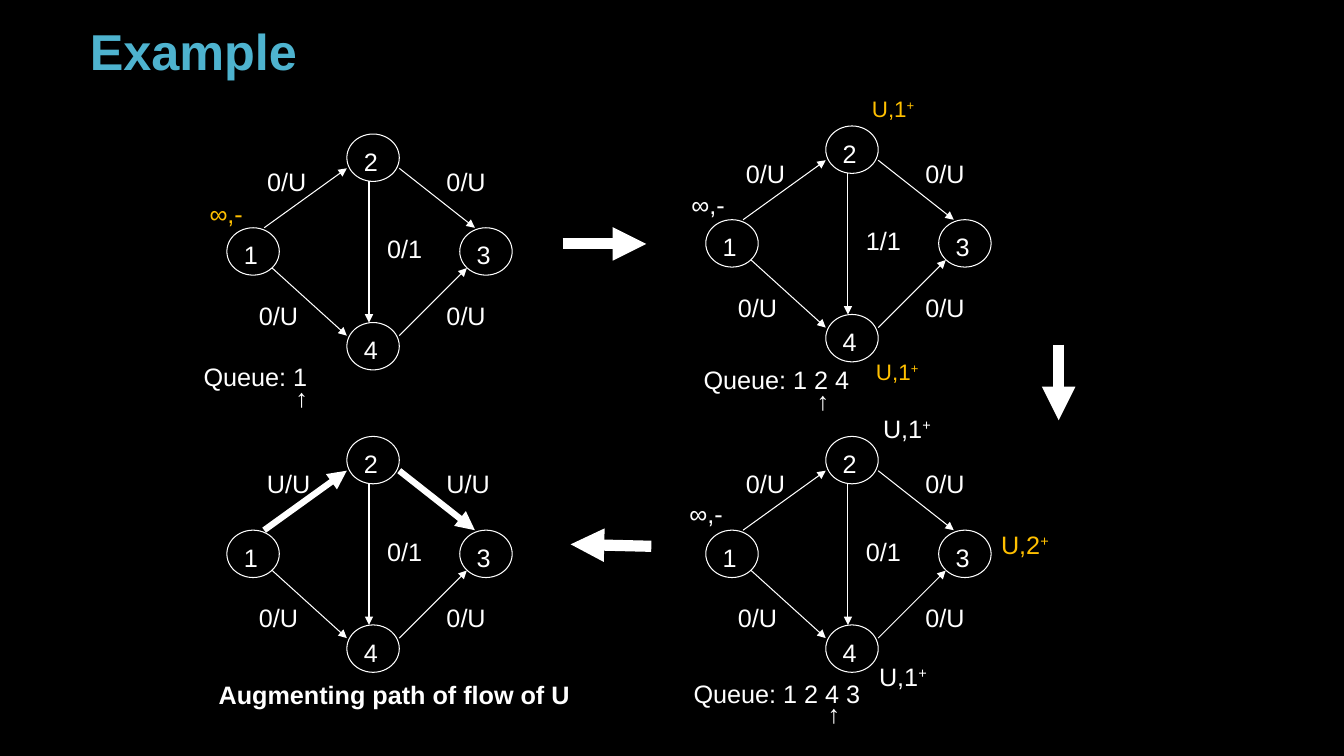
from lxml import etree
from pptx import Presentation
from pptx.dml.color import RGBColor
from pptx.enum.shapes import MSO_CONNECTOR, MSO_SHAPE
from pptx.enum.text import MSO_ANCHOR, MSO_AUTO_SIZE, PP_ALIGN
from pptx.oxml.ns import qn
from pptx.util import Inches, Pt

STRAIGHT = MSO_CONNECTOR.STRAIGHT
ELLIPSE = MSO_SHAPE.OVAL
BOTTOM = MSO_ANCHOR.BOTTOM
TOP = MSO_ANCHOR.TOP
LEFT = PP_ALIGN.LEFT
NO_AUTOFIT = MSO_AUTO_SIZE.NONE
GROW = MSO_AUTO_SIZE.SHAPE_TO_FIT_TEXT

COLUMNS, ROWS = 13.33, 7.5
COLUMN = ROW = Inches(1)
BLACK, WHITE, GOLD, TEAL = "000000", "FFFFFF", "FFC000", "4EB3CF"
THIN, PATH, STEP = 0.75, 4.5, 8
NODE_WIDTH, NODE_HEIGHT, NODE_INSET = 0.52, 0.47, 0.07
TEXT_HEIGHT = 0.4
SPACE_WIDTH = 0.07

NODES = {"4": (1.19, 1.87), "2": (1.19, 0), "1": (0, 0.93), "3": (2.31, 0.93)}
EDGES = {
    "1-4": ((0.45, 1.33), (1.19, 2), (0.22, 1.6)),
    "4-3": ((1.71, 2), (2.38, 1.33), (2.08, 1.6)),
    "1-2": ((0.37, 0.93), (1.19, 0.34), (0.3, 0.27)),
    "2-3": ((1.71, 0.34), (2.46, 0.93), (2.08, 0.27)),
    "2-4": ((1.41, 0.47), (1.41, 1.87), (1.49, 0.94)),
}
FLOW_WIDTHS = {"0/U": 0.59, "U/U": 0.64, "0/1": 0.55, "1/1": 0.55}
NETWORKS = [
    ((2.25, 4.33), {"1-2": "U/U", "2-3": "U/U"}),
    ((2.25, 1.33), {}),
    ((7, 1.25), {"2-4": "1/1"}),
    ((7, 4.33), {}),
]
STEPS = [
    ((5.58, 2.42), (6.41, 2.42)),
    ((10.5, 3.42), (10.5, 4.17)),
    ((6.46, 5.42), (5.66, 5.4)),
]
QUEUES = [
    ("Queue: 1", (1.92, 3.73), 1.55, 13),
    ("Queue: 1 2 4", (6.88, 3.76), 1.81, 16),
    ("Queue: 1 2 4 3", (6.78, 6.87), 2.09, 19),
]
NODE_LABELS = [
    ("∞,-", "", (1.98, 1.92), 0.54, 18, GOLD),
    ("∞,-", "", (6.76, 1.83), 0.54, 18, WHITE),
    ("∞,-", "", (6.74, 4.89), 0.54, 18, WHITE),
    ("U,1", "+", (8.59, 3.5), 0.64, 16, GOLD),
    ("U,1", "+", (8.55, 0.89), 0.64, 16, GOLD),
    ("U,1", "+", (8.66, 4.05), 0.69, 18, WHITE),
    ("U,1", "+", (8.62, 6.51), 0.69, 18, WHITE),
    ("U,2", "+", (9.83, 5.2), 0.69, 18, GOLD),
]


def color(value):
    return RGBColor.from_string(value)


def place(point):
    return int(point[0] * COLUMN), int(point[1] * ROW)


def shift(origin, offset):
    return origin[0] + offset[0], origin[1] + offset[1]


def apply(target, values):
    for name, value in values.items():
        setattr(target, name, value)


def add_run(paragraph, text, size=18, text_color=WHITE, bold=False):
    run = paragraph.add_run()
    run.text = text
    apply(run.font, {"name": "Arial", "size": Pt(size), "bold": bold})
    run.font.color.rgb = color(text_color)
    return run


def add_text_box(shapes, point, width, height=TEXT_HEIGHT, wrap=False):
    box = shapes.add_textbox(*place(point), *place((width, height)))
    apply(box.text_frame, {"word_wrap": wrap, "auto_size": GROW})
    return box.text_frame


def add_text(shapes, text, point, width, **options):
    add_run(add_text_box(shapes, point, width).paragraphs[0], text, **options)


def add_arrow(shapes, start, end, weight):
    arrow = shapes.add_connector(STRAIGHT, *place(start), *place(end))
    arrow.line.width = Pt(weight)
    arrow.line.color.rgb = color(WHITE)
    head = etree.SubElement(arrow.line._get_or_add_ln(), qn("a:tailEnd"))
    head.set("type", "triangle")
    etree.SubElement(arrow._element.spPr, qn("a:effectLst"))


def add_node(shapes, number, point):
    node = shapes.add_shape(ELLIPSE, *place(point), *place((NODE_WIDTH, NODE_HEIGHT)))
    node.shadow.inherit = False
    node.fill.background()
    node.line.width = Pt(THIN)
    node.line.color.rgb = color(WHITE)
    add_text(shapes, number, shift(point, (NODE_INSET, NODE_INSET)), 0.34)


def add_network(slide, origin, flows):
    shapes = slide.shapes.add_group_shape().shapes
    for number, offset in NODES.items():
        add_node(shapes, number, shift(origin, offset))
    for edge, (start, end, label) in EDGES.items():
        flow = flows.get(edge, "0/1" if edge == "2-4" else "0/U")
        weight = PATH if flow == "U/U" else THIN
        add_arrow(shapes, shift(origin, start), shift(origin, end), weight)
        add_text(shapes, flow, shift(origin, label), FLOW_WIDTHS[flow])


def add_queue(slide, text, point, width, spaces):
    frame = add_text_box(slide.shapes, point, width, 0.44, wrap=True)
    queue, pointer = frame.paragraphs[0], frame.add_paragraph()
    queue.line_spacing = 0.25
    apply(pointer, {"line_spacing": 0.25, "space_before": Pt(9)})
    properties = pointer._p.get_or_add_pPr()
    properties.set("marL", str(int(spaces * SPACE_WIDTH * COLUMN)))
    properties.set("indent", "0")
    add_run(queue, text)
    add_run(pointer, "↑")


def add_node_label(slide, text, sign, point, width, size, text_color):
    height = TEXT_HEIGHT if size == 18 else 0.37
    paragraph = add_text_box(slide.shapes, point, width, height).paragraphs[0]
    add_run(paragraph, text, size, text_color)
    if sign:
        run = add_run(paragraph, sign, size, text_color)
        run._r.get_or_add_rPr().set("baseline", "30000")


def add_title(slide, text):
    title = slide.shapes.title
    left, top = place((0.79, 0.36))
    width, height = place((8.3, 0.5))
    apply(title, {"left": left, "top": top, "width": width, "height": height})
    apply(title.text_frame, {"vertical_anchor": BOTTOM, "auto_size": NO_AUTOFIT})
    paragraph = title.text_frame.paragraphs[0]
    apply(paragraph, {"alignment": LEFT, "line_spacing": 0.9})
    add_run(paragraph, text, 36, TEAL, True)


def main():
    presentation = Presentation()
    width, height = place((COLUMNS, ROWS))
    apply(presentation, {"slide_width": width, "slide_height": height})
    slide = presentation.slides.add_slide(presentation.slide_layouts[5])
    slide.background.fill.solid()
    slide.background.fill.fore_color.rgb = color(BLACK)
    add_title(slide, "Example")
    for origin, flows in NETWORKS:
        add_network(slide, origin, flows)
    for start, end in STEPS:
        add_arrow(slide.shapes, start, end, STEP)
    caption = add_text_box(slide.shapes, (2.07, 6.69), 4, wrap=True)
    add_run(caption.paragraphs[0], "Augmenting path of flow of U", bold=True)
    for queue in QUEUES:
        add_queue(slide, *queue)
    for label in NODE_LABELS:
        add_node_label(slide, *label)
    presentation.save("out.pptx")


if __name__ == "__main__":
    main()
